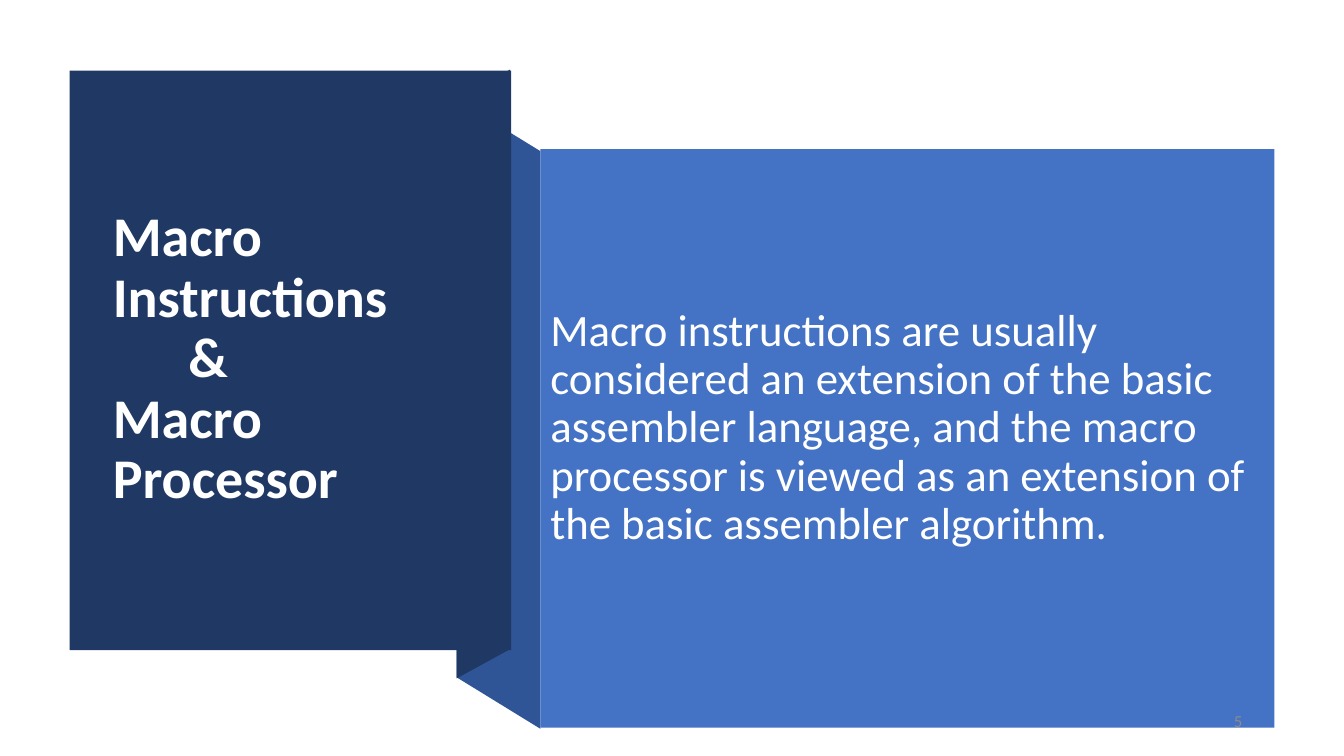
from pptx import Presentation
from pptx.dml.color import RGBColor
from pptx.enum.shapes import MSO_SHAPE
from pptx.enum.text import MSO_ANCHOR, PP_ALIGN
from pptx.util import Inches, Pt

WHITE = RGBColor(0xFF, 0xFF, 0xFF)
NAVY = RGBColor(0x20, 0x38, 0x64)
MID_BLUE = RGBColor(0x2F, 0x55, 0x97)
BLUE = RGBColor(0x44, 0x72, 0xC4)
GRAY = RGBColor(0x8C, 0x8C, 0x8C)
RECTANGLE = MSO_SHAPE.RECTANGLE
MIDDLE = MSO_ANCHOR.MIDDLE
LEFT, RIGHT = PP_ALIGN.LEFT, PP_ALIGN.RIGHT

presentation = Presentation()
presentation.slide_width = Inches(13.33)
presentation.slide_height = Inches(7.5)
slide = presentation.slides.add_slide(presentation.slide_layouts[6])


def paint(shape, color):
    shape.shadow.inherit = False
    shape.fill.solid()
    shape.fill.fore_color.rgb = color
    shape.line.fill.background()


def add_text(box, lines, size, color, bold=False, align=LEFT, spacing=1.0, before=0):
    """Fill a new text box; each line is a (text, left indent in inches) pair."""
    frame = slide.shapes.add_textbox(*map(Inches, box)).text_frame
    frame.word_wrap = True
    frame.vertical_anchor = MIDDLE
    for number, (text, indent) in enumerate(lines):
        paragraph = frame.add_paragraph() if number else frame.paragraphs[0]
        paragraph.alignment = align
        paragraph.line_spacing = spacing
        paragraph.space_before = Pt(before)
        if indent:
            paragraph._p.get_or_add_pPr().set("marL", str(Inches(indent)))
        run = paragraph.add_run()
        run.text = text
        run.font.name = "Calibri"
        run.font.size = Pt(size)
        run.font.bold = bold
        run.font.color.rgb = color


# Folded ribbon behind the two panels
folds = [
    (MID_BLUE, [(5.36, 7.23), (4.53, 6.72), (4.53, 0.99), (5.36, 1.5)]),
    (NAVY, [(5.06, 6.44), (4.53, 6.73), (4.53, 0.98), (5.06, 0.69)]),
]
for color, corners in folds:
    points = [(Inches(x), Inches(y)) for x, y in corners]
    builder = slide.shapes.build_freeform(*points[0])
    builder.add_line_segments(points[1:], close=True)
    paint(builder.convert_to_shape(), color)

# Title and body panels
panels = [(NAVY, (0.69, 0.7, 4.38, 5.75)), (BLUE, (5.36, 1.48, 7.28, 5.74))]
for color, box in panels:
    paint(slide.shapes.add_shape(RECTANGLE, *map(Inches, box)), color)

# Title
title_lines = [("Macro Instructions", 0), ("&", 0.75), ("Macro Processor", 0)]
add_text((1.02, 1.07, 3.71, 4.99), title_lines, 40, WHITE, bold=True, spacing=0.9)

# Body
body = (
    "Macro instructions are usually considered an extension of the basic "
    "assembler language, and the macro processor is viewed as an extension "
    "of the basic assembler algorithm."
)
add_text((5.36, 1.88, 7.2, 4.74), [(body, 0)], 32, WHITE, spacing=0.9, before=10)

# Slide number
add_text((9.42, 6.95, 3, 0.4), [("5", 0)], 12, GRAY, align=RIGHT)

presentation.save("out.pptx")
